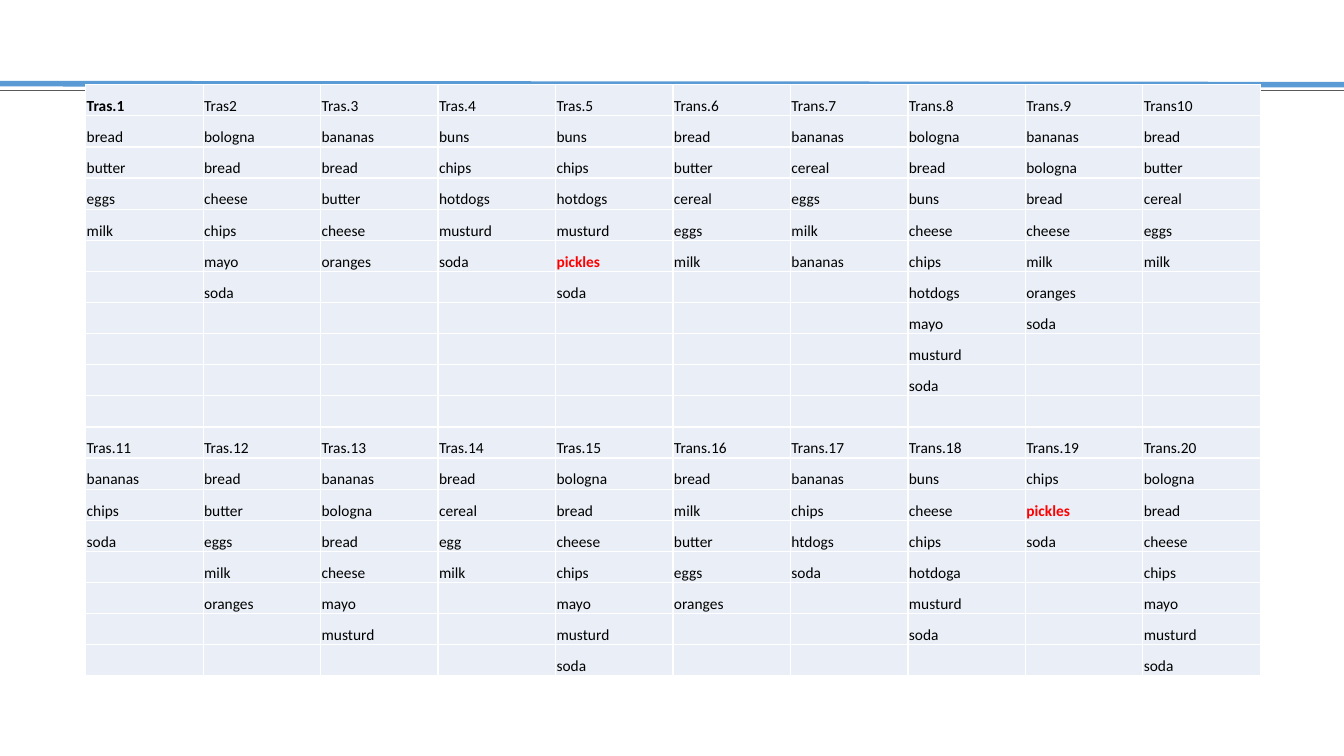
from lxml import etree
from pptx import Presentation, util as u
from pptx.dml.color import RGBColor
from pptx.enum import shapes, text
from pptx.oxml.ns import qn

FONT, SIZE = "Calibri", 11
ROWS, COLS = 19, 10
SECOND = 11  # row where the second band of baskets starts

BASKETS = [
    "Tras.1 bread butter eggs milk",
    "Tras2 bologna bread cheese chips mayo soda",
    "Tras.3 bananas bread butter cheese oranges",
    "Tras.4 buns chips hotdogs musturd soda",
    "Tras.5 buns chips hotdogs musturd pickles soda",
    "Trans.6 bread butter cereal eggs milk",
    "Trans.7 bananas cereal eggs milk bananas",
    "Trans.8 bologna bread buns cheese chips hotdogs mayo musturd soda",
    "Trans.9 bananas bologna bread cheese milk oranges soda",
    "Trans10 bread butter cereal eggs milk",
    "Tras.11 bananas chips soda",
    "Tras.12 bread butter eggs milk oranges",
    "Tras.13 bananas bologna bread cheese mayo musturd",
    "Tras.14 bread cereal egg milk",
    "Tras.15 bologna bread cheese chips mayo musturd soda",
    "Trans.16 bread milk butter eggs oranges",
    "Trans.17 bananas chips htdogs soda",
    "Trans.18 buns cheese chips hotdoga musturd soda",
    "Trans.19 chips pickles soda",
    "Trans.20 bologna bread cheese chips mayo musturd soda",
]


def rgb(code):
    return RGBColor.from_string(code)


def rule(slide, start, end, color, width):
    """Draw a line across the slide from height start to height end."""
    line = slide.shapes.add_connector(
        shapes.MSO_CONNECTOR.STRAIGHT,
        u.Inches(0), u.Inches(start), u.Inches(13.33), u.Inches(end))
    line.line.color.rgb = rgb(color)
    line.line.width = u.Pt(width)
    etree.SubElement(line._element.spPr, qn("a:effectLst"))


def border(cell, color):
    props = cell._tc.get_or_add_tcPr()
    for side in ("lnL", "lnR", "lnT", "lnB"):
        edge = etree.SubElement(props, qn(f"a:{side}"), w=str(u.Pt(1)))
        fill = etree.SubElement(edge, qn("a:solidFill"))
        etree.SubElement(fill, qn("a:srgbClr"), val=color)


def style(cell):
    border(cell, "FFFFFF")
    cell.fill.solid()
    cell.fill.fore_color.rgb = rgb("EAEFF7")
    cell.vertical_anchor = text.MSO_ANCHOR.BOTTOM
    cell.margin_left = cell.margin_right = cell.margin_top = u.Inches(0.01)
    cell.margin_bottom = 0
    # Keeps empty cells from growing beyond the row height
    etree.SubElement(cell.text_frame.paragraphs[0]._p,
                     qn("a:endParaRPr"), sz=str(SIZE * 100))


def write(cell, word):
    para = cell.text_frame.paragraphs[0]
    para.text = word
    font = para.runs[0].font
    font.name, font.size = FONT, u.Pt(SIZE)
    font.bold = word in ("Tras.1", "pickles")
    font.color.rgb = rgb("FF0000" if word == "pickles" else "000000")


def grid(slide):
    frame = slide.shapes.add_table(
        ROWS, COLS, u.Inches(0.85), u.Inches(0.84),
        u.Inches(11.65), u.Inches(5.87))
    table = frame.table
    table.first_row = table.horz_banding = False
    for cell in table.iter_cells():
        style(cell)
    for index, basket in enumerate(BASKETS):
        band, col = divmod(index, COLS)
        for row, word in enumerate(basket.split(), band * SECOND):
            write(table.cell(row, col), word)


def main():
    deck = Presentation()
    deck.slide_width, deck.slide_height = u.Inches(13.33), u.Inches(7.5)
    slide = deck.slides.add_slide(deck.slide_layouts[6])
    rule(slide, 0.83, 0.84, "5B9BD5", 4)
    rule(slide, 0.9, 0.9, "595959", 1)
    grid(slide)
    deck.save("out.pptx")


if __name__ == "__main__":
    main()
